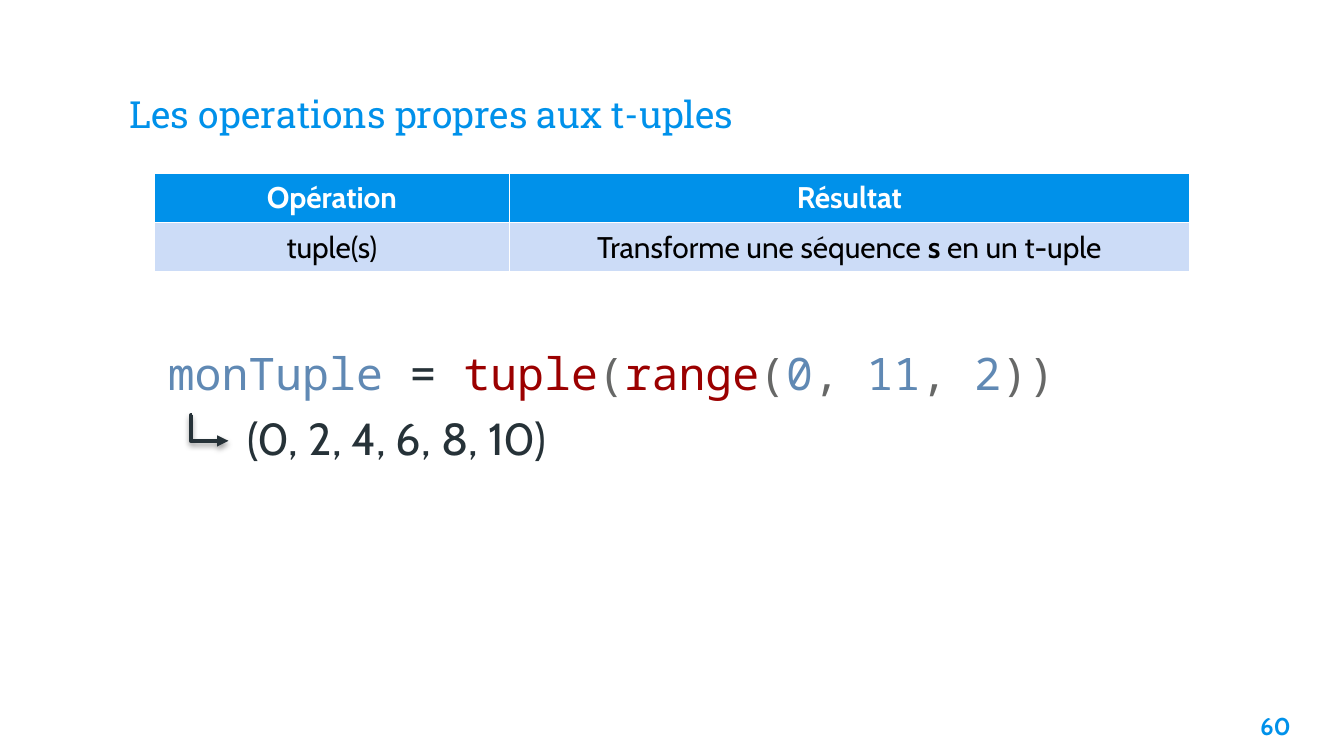
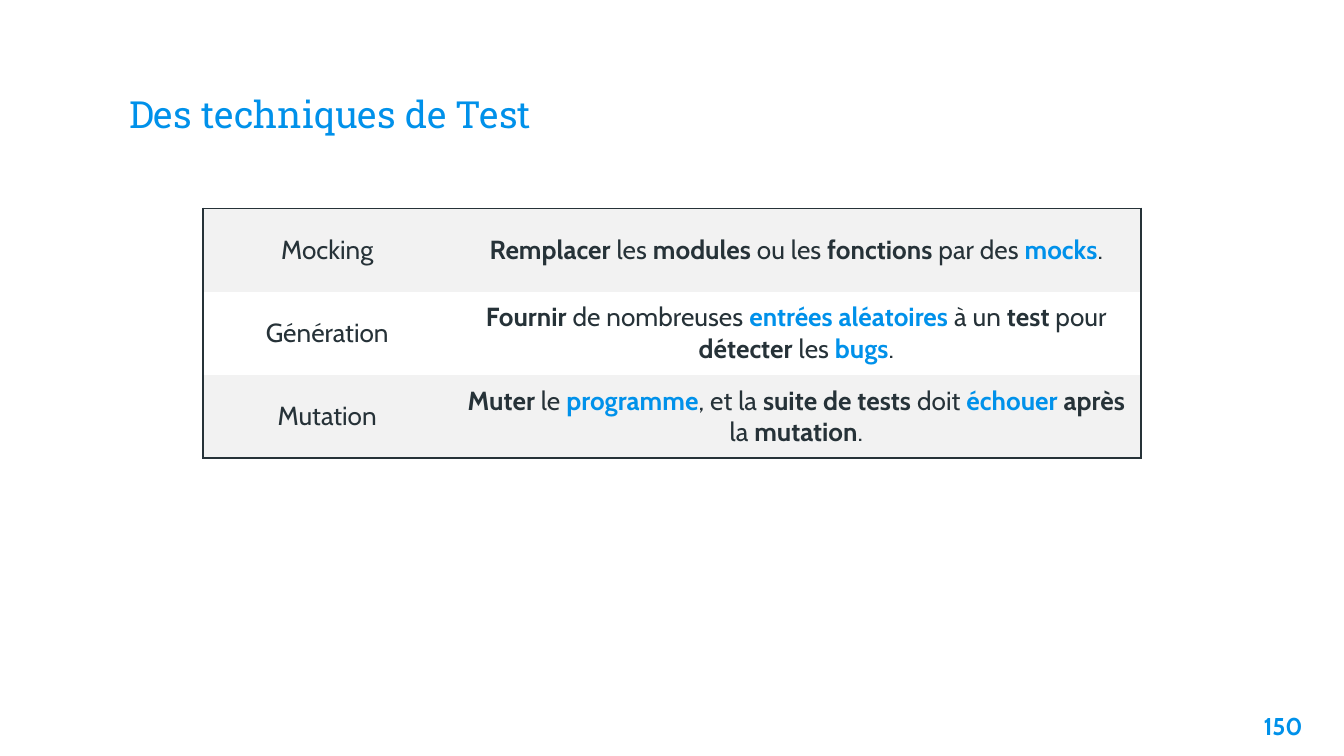
from lxml import etree
from pptx import Presentation
from pptx.dml.color import RGBColor
from pptx.enum.shapes import MSO_CONNECTOR
from pptx.enum.text import MSO_ANCHOR, PP_ALIGN
from pptx.oxml import parse_xml
from pptx.oxml.ns import nsdecls, qn
from pptx.util import Inches, Pt

COLORS = {
    "blue": "0091EA",
    "ink": "263238",
    "white": "FFFFFF",
    "black": "000000",
    "pale_blue": "CCDCF7",
    "pale_grey": "F2F2F2",
    "literal": "6089B4",
    "builtin": "9B0000",
    "punctuation": "676867",
}
BODY_FONT, CODE_FONT, TITLE_FONT = "Cabin", "Noto Sans Mono", "Roboto Slab"


def write_runs(paragraph, runs, size, font=BODY_FONT):
    """Append (text, colour name, bold) runs to a paragraph."""
    for text, color, bold in runs:
        run = paragraph.add_run()
        run.text = text
        run.font.name = font
        run.font.size = Pt(size)
        run.font.bold = bold
        run.font.color.rgb = RGBColor.from_string(COLORS[color])


def style_cell(cell, fill, border, sides):
    """Fill a cell and line the given sides (letters of LRTB), leaving the others bare."""
    cell.fill.solid()
    cell.fill.fore_color.rgb = RGBColor.from_string(COLORS[fill])
    properties = cell._tc.get_or_add_tcPr()
    for index, side in enumerate("LRTB"):
        paint = "<a:noFill/>"
        if side in sides:
            paint = f'<a:solidFill><a:srgbClr val="{COLORS[border]}"/></a:solidFill>'
        properties.insert(index, parse_xml(
            f'<a:ln{side} {nsdecls("a")} w="{Pt(1)}">{paint}</a:ln{side}>'))


prs = Presentation()
prs.slide_width = Inches(10)
prs.slide_height = prs.slide_width * 9 // 16

# Shared title and page number
slides = []
for heading, number, number_align in [
    ("Les operations propres aux t-uples", "60", PP_ALIGN.CENTER),
    ("Des techniques de Test", "150", PP_ALIGN.RIGHT),
]:
    slide = prs.slides.add_slide(prs.slide_layouts[5])
    slides.append(slide)
    title = slide.shapes.title
    title.left, title.top = Inches(0.86), Inches(0.34)
    title.width, title.height = Inches(8.28), Inches(0.77)
    page_number = slide.shapes.add_textbox(
        Inches(9.19), Inches(5.19), Inches(0.6), Inches(0.43))
    for shape, text, size, font, bold, align, anchor in [
        (title, heading, 20, TITLE_FONT, False, PP_ALIGN.LEFT, MSO_ANCHOR.BOTTOM),
        (page_number, number, 13, BODY_FONT, True, number_align, MSO_ANCHOR.TOP),
    ]:
        frame = shape.text_frame
        frame.word_wrap = True
        frame.vertical_anchor = anchor
        frame.margin_left = frame.margin_right = Inches(0.1)
        frame.margin_top = frame.margin_bottom = Inches(0.1)
        frame.paragraphs[0].alignment = align
        write_runs(frame.paragraphs[0], [(text, "blue", bold)], size, font)

tuple_slide, testing_slide = slides

# Table of tuple operations
operation_rows = [
    [[("Opération", "white", True)], [("Résultat", "white", True)]],
    [[("tuple(s)", "black", False)],
     [("Transforme une séquence ", "black", False), ("s", "black", True),
      (" en un t-uple", "black", False)]],
]

# Table of testing techniques
plain, strong, accent = ("ink", False), ("ink", True), ("blue", True)
technique_rows = [
    [[("Mocking", *plain)],
     [("Remplacer", *strong), (" les ", *plain), ("modules", *strong),
      (" ou les ", *plain), ("fonctions", *strong), (" par des ", *plain),
      ("mocks", *accent), (".", *plain)]],
    [[("Génération", *plain)],
     [("Fournir", *strong), (" de nombreuses ", *plain),
      ("entrées aléatoires ", *accent), ("à un ", *plain), ("test", *strong),
      (" pour ", *plain), ("détecter", *strong), (" les ", *plain),
      ("bugs", *accent), (".", *plain)]],
    [[("Mutation", *plain)],
     [("Muter", *strong), (" le ", *plain), ("programme", *accent),
      (", et la ", *plain), ("suite de tests ", *strong), ("doit ", *plain),
      ("échouer ", *accent), ("après", *strong), (" la ", *plain),
      ("mutation", *strong), (".", *plain)]],
]

for slide, rows, left, top, widths, row_height, size, margin, anchor, fills, border, inner in [
    (tuple_slide, operation_rows, 1.15, 1.29, (2.64, 5.06), 0.36, 16, 0.05,
     MSO_ANCHOR.TOP, ("blue", "pale_blue"), "white", True),
    (testing_slide, technique_rows, 1.51, 1.55, (1.85, 5.13), 0.62, 14, 0.07,
     MSO_ANCHOR.MIDDLE, ("pale_grey", "white", "pale_grey"), "ink", False),
]:
    table = slide.shapes.add_table(
        len(rows), len(widths), Inches(left), Inches(top),
        Inches(sum(widths)), Inches(row_height * len(rows))).table
    table.first_row = table.horz_banding = False
    for column, width in zip(table.columns, widths):
        column.width = Inches(width)
    for r, row in enumerate(rows):
        table.rows[r].height = Inches(row_height)
        for c, runs in enumerate(row):
            cell = table.cell(r, c)
            cell.vertical_anchor = anchor
            cell.margin_left = cell.margin_right = Inches(0.1)
            cell.margin_top = cell.margin_bottom = Inches(margin)
            outer = {"L": c == 0, "R": c == len(row) - 1,
                     "T": r == 0, "B": r == len(rows) - 1}
            style_cell(cell, fills[r], border,
                       [side for side in outer if inner or outer[side]])
            paragraph = cell.text_frame.paragraphs[0]
            paragraph.alignment = PP_ALIGN.CENTER
            write_runs(paragraph, runs, size)

# Code example and its result
example = tuple_slide.shapes.add_textbox(
    Inches(1.15), Inches(2.52), Inches(7.71), Inches(0.99)).text_frame
example.word_wrap = True
code = example.paragraphs[0]
code.space_after = Pt(6)
write_runs(code, [(text, color, False) for text, color in [
    ("monTuple ", "literal"), ("= ", "ink"), ("tuple", "builtin"),
    ("(", "punctuation"), ("range", "builtin"), ("(", "punctuation"),
    ("0", "literal"), (", ", "punctuation"), ("11", "literal"),
    (", ", "punctuation"), ("2", "literal"), ("))", "punctuation"),
]], 24, CODE_FONT)
result = example.add_paragraph()
result.space_after = Pt(12)
result._p.get_or_add_pPr().set("marL", str(Inches(0.59)))
write_runs(result, [("(0, 2, 4, 6, 8, 10)", "ink", False)], 24)

# Arrow that drops from the code, then turns right to the result
result_arrow = tuple_slide.shapes.add_connector(
    MSO_CONNECTOR.ELBOW, Inches(1.42), Inches(3.09), Inches(1.7), Inches(3.28))
result_arrow.line.width = Pt(2)
result_arrow.line.color.rgb = RGBColor.from_string(COLORS["ink"])
arrow_properties = result_arrow._element.spPr
bend = arrow_properties.find(qn("a:prstGeom")).find(qn("a:avLst"))
etree.SubElement(bend, qn("a:gd"), name="adj1", fmla="val -400")
etree.SubElement(arrow_properties.find(qn("a:ln")), qn("a:tailEnd"), type="triangle")
arrow_properties.append(parse_xml(
    f'<a:effectLst {nsdecls("a")}>'
    f'<a:outerShdw blurRad="{Pt(3.1)}" dist="{Pt(1.6)}" dir="5400000" rotWithShape="0">'
    f'<a:srgbClr val="{COLORS["black"]}"><a:alpha val="38000"/></a:srgbClr>'
    '</a:outerShdw></a:effectLst>'))

prs.save("out.pptx")
